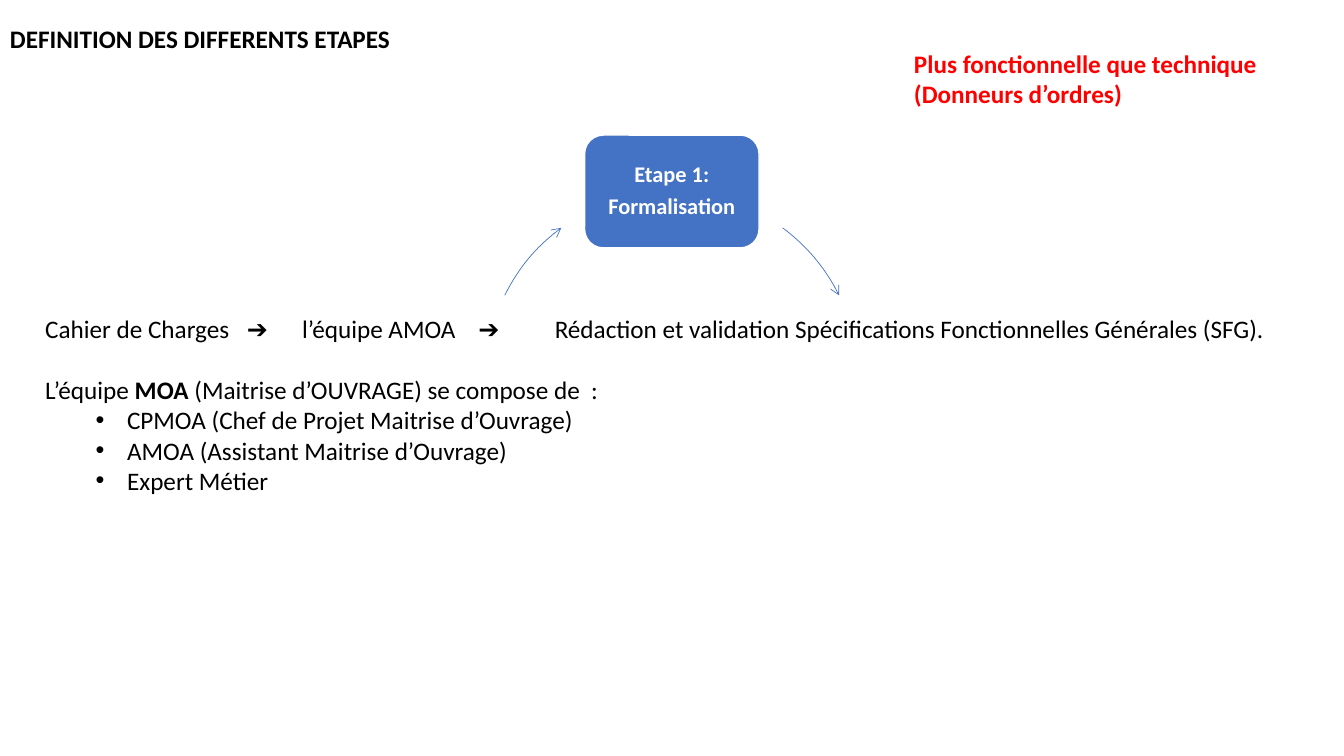
import lxml.etree
import pptx
import pptx.dml.color
import pptx.enum.shapes
import pptx.enum.text
import pptx.oxml.ns
import pptx.util

Pt = pptx.util.Pt
qn = pptx.oxml.ns.qn
SHAPES = pptx.enum.shapes.MSO_SHAPE
COLORS = {"black": "000000", "white": "FFFFFF", "red": "FF0000", "blue": "4472C4"}


class StepSlide:
    """Draw the elements of one step slide in a shared style."""

    def __init__(self, page, font="Calibri", size=18):
        self.page = page
        self.font = font
        self.size = size

    def color(self, name):
        return pptx.dml.color.RGBColor.from_string(COLORS[name])

    def style(self, paragraph, color, bold=None, size=None):
        paragraph.font.name = self.font
        paragraph.font.size = Pt(size or self.size)
        paragraph.font.bold = bold
        paragraph.font.color.rgb = self.color(color)

    def text(self, left, top, width, height, lines, color="black", bold=None):
        box = self.page.shapes.add_textbox(Pt(left), Pt(top), Pt(width), Pt(height))
        frame = box.text_frame
        frame.word_wrap = True
        for number, spans in enumerate(lines):
            para = frame.add_paragraph() if number else frame.paragraphs[0]
            self.style(para, color, bold)
            for words, strong in spans:
                span = para.add_run()
                span.text = words
                if strong:
                    span.font.bold = True
        return box

    def step(self, left, top, width, height, lines):
        box = self.page.shapes.add_shape(
            SHAPES.ROUNDED_RECTANGLE, Pt(left), Pt(top), Pt(width), Pt(height))
        box.shadow.inherit = False
        box.fill.solid()
        box.fill.fore_color.rgb = self.color("blue")
        box.line.color.rgb = self.color("white")
        box.line.width = Pt(1)
        frame = box.text_frame
        frame.word_wrap = True
        frame.margin_left = frame.margin_right = Pt(5)
        frame.vertical_anchor = pptx.enum.text.MSO_ANCHOR.MIDDLE
        for number, words in enumerate(lines):
            para = frame.add_paragraph() if number else frame.paragraphs[0]
            para.text = words
            para.alignment = pptx.enum.text.PP_ALIGN.CENTER
            para.line_spacing = 0.9
            para.space_before = Pt(5.6 if number else 0)
            self.style(para, "white", True, 16)

    def arc_arrow(self, center_x, center_y, radius, start, end):
        arc = self.page.shapes.add_shape(
            SHAPES.ARC, Pt(center_x - radius), Pt(center_y - radius),
            Pt(2 * radius), Pt(2 * radius))
        arc.shadow.inherit = False
        arc.fill.background()
        arc.line.color.rgb = self.color("blue")
        arc.line.width = Pt(0.5)
        for number, degrees in enumerate((start, end)):
            arc.adjustments[number] = degrees * 0.6
        lxml.etree.SubElement(arc.line._get_or_add_ln(), qn("a:tailEnd"), type="arrow")

    def tab_stops(self, paragraph, stops):
        tabs = lxml.etree.SubElement(paragraph._p.get_or_add_pPr(), qn("a:tabLst"))
        for stop in stops:
            lxml.etree.SubElement(tabs, qn("a:tab"), pos=str(Pt(stop)), algn="l")

    def bullet(self, paragraph, margin, hanging):
        paragraph.level = 1
        properties = paragraph._p.get_or_add_pPr()
        properties.set("marL", str(Pt(margin)))
        properties.set("indent", str(Pt(-hanging)))
        mark_font = lxml.etree.Element(qn("a:buFont"), typeface="Arial")
        mark = lxml.etree.Element(qn("a:buChar"), char="•")
        properties.insert(0, mark_font)
        properties.insert(1, mark)


def main():
    deck = pptx.Presentation()
    deck.slide_width, deck.slide_height = Pt(960), Pt(540)
    slide = StepSlide(deck.slides.add_slide(deck.slide_layouts[6]))

    slide.step(417.6, 96.5, 124.6, 80.6, ["Etape 1:", "Formalisation"])
    for start, end in ((306.4, 333.7), (206.3, 233.6)):
        slide.arc_arrow(480, 270, 133.2, start, end)

    members = ["CPMOA (Chef de Projet Maitrise d’Ouvrage)",
               "AMOA (Assistant Maitrise d’Ouvrage)", "Expert Métier"]
    flow = ["Cahier de Charges", "➔", "l’équipe AMOA", "➔",
            "Rédaction et validation Spécifications Fonctionnelles Générales (SFG)."]
    team = [("L’équipe ", False), ("MOA", True),
            (" (Maitrise d’OUVRAGE) se compose de  :", False)]
    body = slide.text(25.2, 220.3, 916.6, 247, [
        [("\t".join(flow), False)], team, *[[(member, False)] for member in members]])
    flow_line, team_line, *member_lines = body.text_frame.paragraphs
    slide.tab_stops(flow_line, (144, 183.5, 309.5, 364))
    team_line.space_before = Pt(22)
    for line in member_lines:
        slide.bullet(line, 58.5, 22.5)

    slide.text(645.8, 31, 263.5, 51, [
        [("Plus fonctionnelle que technique", False)],
        [("(Donneurs d’ordres)", False)]], "red", True)
    slide.text(0, 13, 357, 29, [[("DEFINITION DES DIFFERENTS ETAPES", False)]], bold=True)
    deck.save("out.pptx")


if __name__ == "__main__":
    main()
